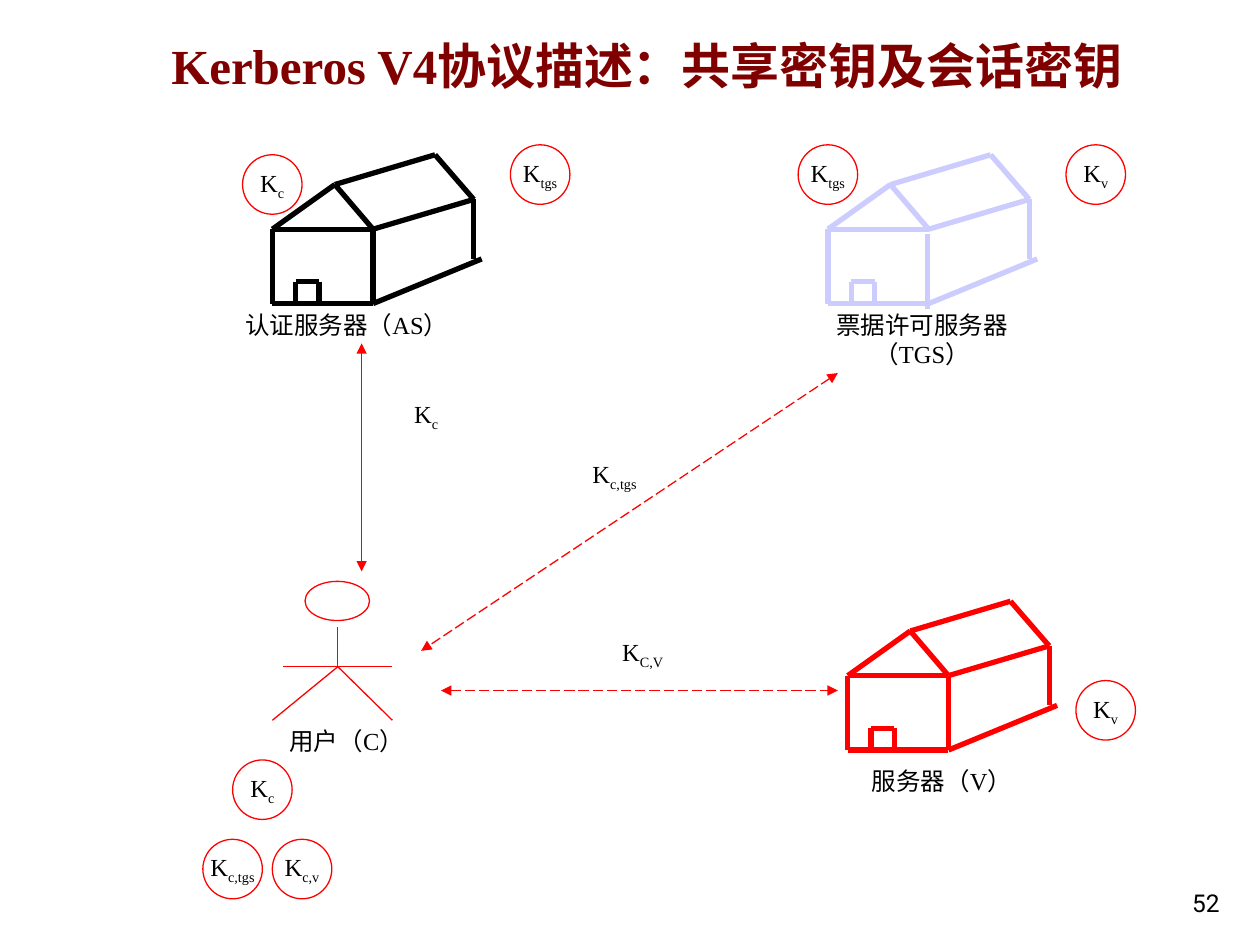
from dataclasses import dataclass

from lxml.etree import SubElement
from pptx import Presentation
from pptx.dml.color import RGBColor
from pptx.enum.dml import MSO_LINE_DASH_STYLE as Dash
from pptx.enum.shapes import MSO_CONNECTOR as Connector, MSO_SHAPE as Shape
from pptx.enum.text import MSO_ANCHOR as Anchor, MSO_AUTO_SIZE as AutoSize, PP_ALIGN as Align
from pptx.oxml.ns import qn
from pptx.util import Inches, Pt

COLORS = {"title": "800000", "text": "000000", "key": "FF0000",
          "as": "000000", "tgs": "CCCCFF", "server": "FF0000"}
SERIF = "Times New Roman"
CELL = Inches(10) / 127
ORIGIN_COL, ORIGIN_ROW = 0.45, 0.6
KEY_SIZE = 6
LABEL_COLS = 25
Point = tuple[float, float]

FRONT_RIDGE, BACK_RIDGE = (6.3, 3), (16.4, 0)
LEFT_EAVE, RIGHT_EAVE, BACK_EAVE = (0, 7.5), (10.15, 7.5), (20.3, 4.5)
LEFT_FLOOR, RIGHT_FLOOR, BACK_FLOOR = (0, 15), (10.15, 15), (21.1, 10.5)
DOOR = [(2.35, 15), (2.35, 12.8), (4.7, 12.8), (4.7, 15)]
HOUSE_EDGES = [
    (FRONT_RIDGE, LEFT_EAVE), (FRONT_RIDGE, RIGHT_EAVE), (LEFT_EAVE, RIGHT_EAVE),
    (FRONT_RIDGE, BACK_RIDGE), (BACK_RIDGE, BACK_EAVE), (RIGHT_EAVE, BACK_EAVE),
    (LEFT_EAVE, LEFT_FLOOR), (LEFT_FLOOR, RIGHT_FLOOR), (RIGHT_FLOOR, BACK_FLOOR),
    (BACK_EAVE, (20.3, 10.5)), *zip(DOOR, DOOR[1:]),
]


@dataclass
class House:
    col: float
    row: float
    color: str
    wall_shift: Point = (0, 0)


@dataclass
class Key:
    col: float
    row: float
    subscript: str


@dataclass
class Label:
    col: float
    row: float
    cols: float
    rows: float
    text: str
    subscript: str = ""
    align: Align = Align.CENTER


@dataclass
class Channel:
    start: Point
    end: Point
    dashed: bool = True


HOUSES = [House(83, 15, "tgs", (-0.15, 0.5)), House(85, 60, "server"), House(27, 15, "as")]
LABELS = [
    Label(80, 30, LABEL_COLS, 7.2, "票据许可服务器（TGS）"),
    Label(82, 76, LABEL_COLS, 4.3, "服务器（V）"),
    Label(22, 30, LABEL_COLS, 4.3, "认证服务器（AS）"),
    Label(22, 72, LABEL_COLS, 4.3, "用户（C）"),
    Label(35, 39, 15, 4.7, "K", "c"),
    Label(52, 45, 19, 4.7, "K", "c,tgs"),
    Label(61, 63, 13, 4.7, "K", "C,V", Align.LEFT),
]
KEYS = [
    Key(23, 76, "c"), Key(24, 15, "c"), Key(80, 14, "tgs"), Key(108, 68, "v"),
    Key(51, 14, "tgs"), Key(107, 14, "v"), Key(20, 84, "c,tgs"), Key(27, 84, "c,v"),
]
CHANNELS = [
    Channel((36, 57), (36, 34), dashed=False),
    Channel((44, 69), (84, 69)),
    Channel((84, 37), (42, 65)),
]


def size(cells: float) -> int:
    return round(cells * CELL)


def place(col: float, row: float) -> tuple[int, int]:
    return size(col + ORIGIN_COL), size(row + ORIGIN_ROW)


def color(name: str) -> RGBColor:
    return RGBColor.from_string(COLORS[name])


def draw_line(shapes, start: Point, end: Point, tint: str, width: float):
    line = shapes.add_connector(Connector.STRAIGHT, *place(*start), *place(*end))
    line.line.color.rgb = color(tint)
    line.line.width = Pt(width)
    SubElement(line._element.spPr, qn("a:effectLst"))
    return line


def draw_oval(shapes, col: float, row: float, cols: float, rows: float):
    oval = shapes.add_shape(Shape.OVAL, *place(col, row), size(cols), size(rows))
    oval.shadow.inherit = False
    oval.fill.background()
    oval.line.color.rgb = color("key")
    oval.line.width = Pt(0.75)
    return oval


def write(frame, text: str, subscript: str = "", align: Align = Align.CENTER,
          font: str = SERIF, points: float = 14, tint: str = "text") -> None:
    paragraph = frame.paragraphs[0]
    paragraph.text = text
    paragraph.alignment = align
    if subscript:
        lowered = paragraph.add_run()
        lowered.text = subscript
        lowered._r.get_or_add_rPr().set("baseline", "-25000")
    for run in paragraph.runs:
        run.font.name = font
        run.font.size = Pt(points)
        run.font.color.rgb = color(tint)


def draw_house(shapes, house: House) -> None:
    walls = shapes.add_group_shape().shapes
    shift_col, shift_row = house.wall_shift
    corner = [(col + shift_col, row + shift_row) for col, row in (RIGHT_EAVE, RIGHT_FLOOR)]
    for edge in [*HOUSE_EDGES, corner]:
        start, end = [(house.col + col, house.row + row) for col, row in edge]
        draw_line(walls, start, end, house.color, 3)


def draw_user(shapes) -> None:
    body = shapes.add_group_shape().shapes
    neck, hip = (33.6, 62.6), (33.6, 66.6)
    draw_oval(body, 30.3, 58, 6.5, 3.95)
    for start, end in [(neck, hip), (hip, (27, 72)), (hip, (39.1, 72)),
                       ((28.1, 66.6), (39.1, 66.6))]:
        draw_line(body, start, end, "key", 0.75)


def draw_key(shapes, key: Key) -> None:
    frame = draw_oval(shapes, key.col, key.row, KEY_SIZE, KEY_SIZE).text_frame
    frame.word_wrap = False
    frame.vertical_anchor = Anchor.MIDDLE
    write(frame, "K", key.subscript)


def draw_label(shapes, label: Label) -> None:
    box = shapes.add_textbox(*place(label.col, label.row), size(label.cols), size(label.rows))
    box.text_frame.word_wrap = True
    write(box.text_frame, label.text, label.subscript, label.align)


def draw_channel(shapes, channel: Channel) -> None:
    arrow = draw_line(shapes, channel.start, channel.end, "key", 0.75)
    if channel.dashed:
        arrow.line.dash_style = Dash.LONG_DASH
    for tip in ("a:headEnd", "a:tailEnd"):
        SubElement(arrow.line._get_or_add_ln(), qn(tip), type="triangle")


def draw_title(slide) -> None:
    title = slide.shapes.title
    title.left, title.top = place(15.55, 2.3)
    title.width, title.height = size(108.2), size(9.3)
    frame = title.text_frame
    frame.auto_size = AutoSize.NONE
    frame.word_wrap = True
    frame.vertical_anchor = Anchor.TOP
    write(frame, "Kerberos V4协议描述：共享密钥及会话密钥", align=Align.LEFT,
          points=28, tint="title")
    frame.paragraphs[0].runs[0].font.bold = True


def draw_page_number(shapes) -> None:
    page = shapes.add_textbox(*place(97.35, 86.15), size(26.4), size(6.35)).text_frame
    page.word_wrap = True
    page.vertical_anchor = Anchor.BOTTOM
    write(page, "52", align=Align.RIGHT, font="Roboto")


def main() -> None:
    deck = Presentation()
    deck.slide_width, deck.slide_height = Inches(10), Inches(7.5)
    slide = deck.slides.add_slide(deck.slide_layouts[5])
    draw_title(slide)
    for house in HOUSES:
        draw_house(slide.shapes, house)
    draw_user(slide.shapes)
    for channel in CHANNELS:
        draw_channel(slide.shapes, channel)
    for label in LABELS:
        draw_label(slide.shapes, label)
    for key in KEYS:
        draw_key(slide.shapes, key)
    draw_page_number(slide.shapes)
    deck.save("out.pptx")


if __name__ == "__main__":
    main()
